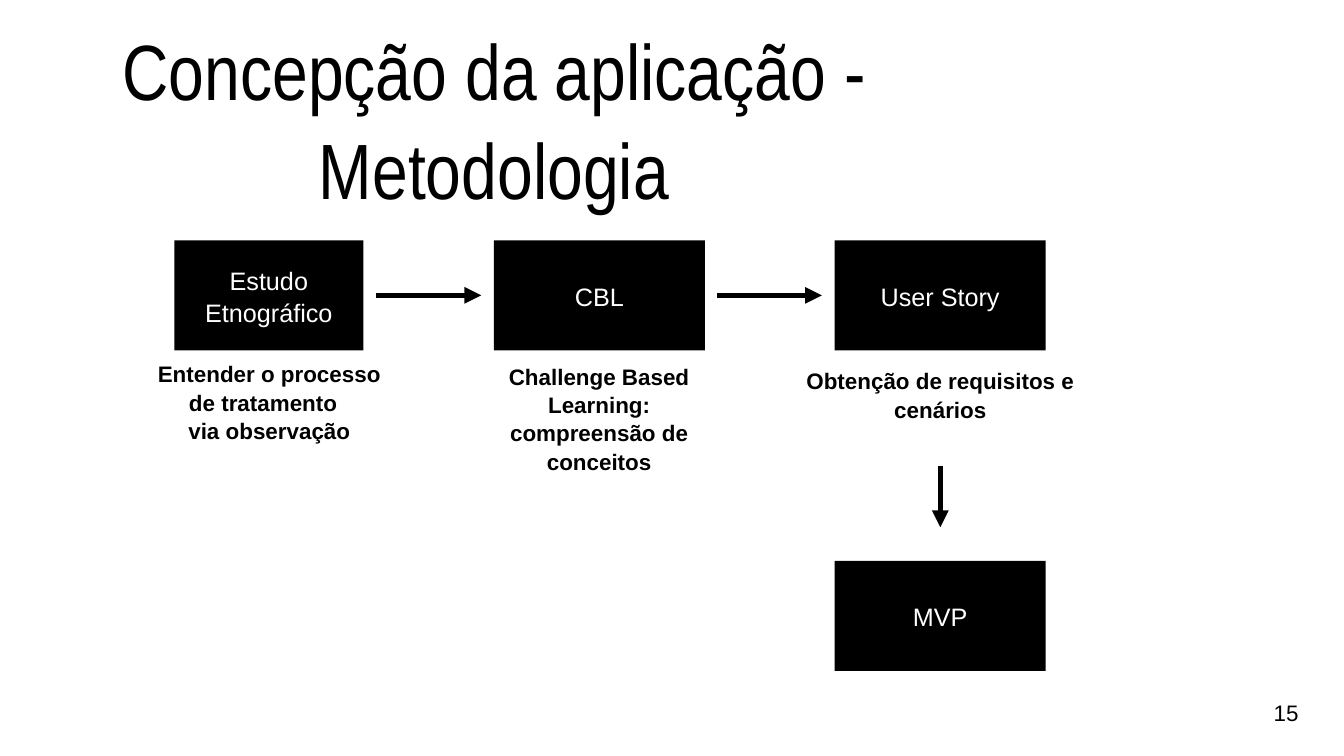
import dataclasses

import lxml.etree
import pptx
import pptx.dml.color
import pptx.enum.shapes
import pptx.enum.text
import pptx.oxml.ns
import pptx.util

EMU_PER_PX = 9144  # 100 px to the inch


@dataclasses.dataclass(frozen=True)
class Theme:
    ink: str = "000000"
    paper: str = "FFFFFF"
    body_font: str = "Arial"
    title_font: str = "Arial Narrow"
    title_size: int = 112
    step_size: int = 36
    caption_size: int = 32
    arrow_width: int = 8
    line_spacing: float = 1.05
    inset: int = 8


THEME = Theme()
STEP_TOP, STEP_HEIGHT, STEP_WIDTH = 477, 218, 419
ARROW_Y = STEP_TOP + STEP_HEIGHT // 2
ARROW_GAP = 25
CBL_LEFT, STORY_LEFT = 980, 1656
STORY_CENTER = 1866


def px(length):
    return pptx.util.Emu(length * EMU_PER_PX)


def color(code):
    return pptx.dml.color.RGBColor.from_string(code)


def write_text(shape, paragraphs, *, size, font=THEME.body_font, ink=THEME.ink,
               bold=False, wrap=True, middle=True):
    """Fill a shape with centred paragraphs of one format."""
    anchor = pptx.enum.text.MSO_ANCHOR
    frame = shape.text_frame
    frame.auto_size = pptx.enum.text.MSO_AUTO_SIZE.NONE
    frame.word_wrap = wrap
    frame.vertical_anchor = anchor.MIDDLE if middle else anchor.TOP
    frame.margin_left = frame.margin_right = px(THEME.inset)
    frame.margin_top = frame.margin_bottom = px(THEME.inset)
    for index, text in enumerate(paragraphs):
        para = frame.add_paragraph() if index else frame.paragraphs[0]
        para.alignment = pptx.enum.text.PP_ALIGN.CENTER
        para.line_spacing = THEME.line_spacing
        span = para.add_run()
        span.text = text
        span.font.name = font
        span.font.size = pptx.util.Pt(size)
        span.font.bold = bold
        span.font.color.rgb = color(ink)


def set_title(page, text, left, top, width, height):
    title = page.shapes.title
    title.left, title.top = px(left), px(top)
    title.width, title.height = px(width), px(height)
    write_text(title, [text], size=THEME.title_size, font=THEME.title_font)


def add_step(page, text, left, top=STEP_TOP, width=STEP_WIDTH):
    step = page.shapes.add_shape(
        pptx.enum.shapes.MSO_SHAPE.RECTANGLE,
        px(left), px(top), px(width), px(STEP_HEIGHT))
    step.shadow.inherit = False
    step.fill.solid()
    step.fill.fore_color.rgb = color(THEME.ink)
    step.line.fill.background()
    write_text(step, [text], size=THEME.step_size, ink=THEME.paper)


def add_label(page, paragraphs, left, top, width, height, **text_format):
    box = page.shapes.add_textbox(px(left), px(top), px(width), px(height))
    write_text(box, paragraphs, size=THEME.caption_size, **text_format)


def add_arrow(page, start, end):
    arrow = page.shapes.add_connector(
        pptx.enum.shapes.MSO_CONNECTOR.STRAIGHT,
        *(px(length) for length in (*start, *end)))
    arrow.line.width = pptx.util.Pt(THEME.arrow_width)
    arrow.line.color.rgb = color(THEME.ink)
    qn = pptx.oxml.ns.qn
    lxml.etree.SubElement(arrow.line._get_or_add_ln(), qn("a:tailEnd"), type="triangle")
    lxml.etree.SubElement(arrow._element.spPr, qn("a:effectLst"))


def main():
    deck = pptx.Presentation()
    deck.slide_width, deck.slide_height = px(2667), px(1500)
    page = deck.slides.add_slide(deck.slide_layouts[5])

    set_title(page, "Concepção da aplicação - Metodologia", 200, 44, 1560, 372)

    add_step(page, "Estudo Etnográfico", 346, width=375)
    add_step(page, "CBL", CBL_LEFT)
    add_step(page, "User Story", STORY_LEFT)
    add_step(page, "MVP", STORY_LEFT, top=1113)

    add_label(page, ["Entender o processo", "de tratamento  ", "via observação"],
              299, 708, 471, 177, bold=True, wrap=False)
    add_label(page, ["Challenge Based Learning:", "compreensão de conceitos"],
              902, 714, 574, 231, bold=True)
    add_label(page, ["Obtenção de requisitos e cenários"],
              1579, 721, 574, 123, bold=True)

    for next_left in (CBL_LEFT, STORY_LEFT):
        tip = next_left - ARROW_GAP
        add_arrow(page, (tip - 208, ARROW_Y), (tip, ARROW_Y))
    add_arrow(page, (STORY_CENTER, 924), (STORY_CENTER, 1046))

    add_label(page, ["15"], 2519, 1377, 66, 69, wrap=False, middle=False)
    deck.save("out.pptx")


if __name__ == "__main__":
    main()
